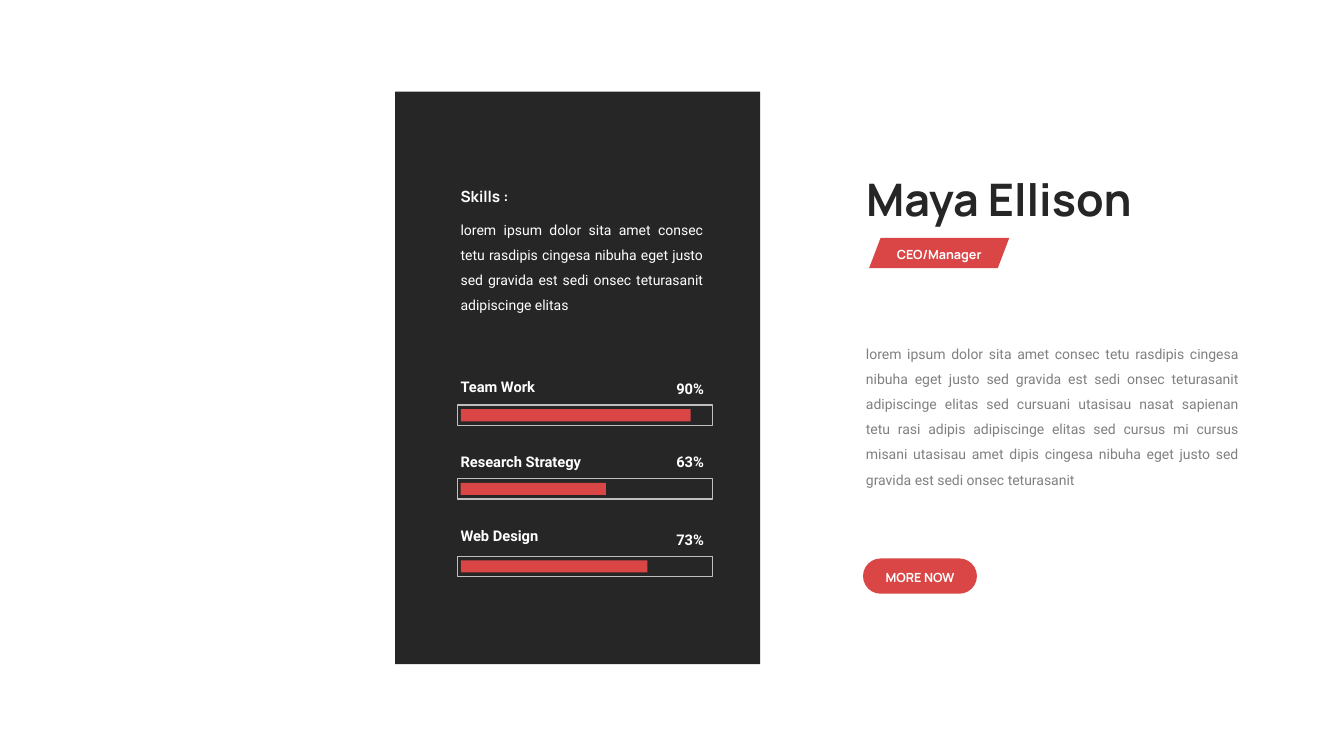
"""Build a profile slide with a skills panel, a biography and a button."""
from dataclasses import dataclass

from pptx import Presentation
from pptx.dml.color import RGBColor
from pptx.enum import shapes, text
from pptx.util import Inches, Pt


@dataclass(frozen=True)
class Theme:
    dark: str = "262626"
    accent: str = "DA4646"
    white: str = "FFFFFF"
    grey: str = "808080"
    outline: str = "BFBFBF"
    heading: str = "Manrope"
    body: str = "Roboto"
    name_size: float = 32
    skills_size: float = 11
    label_size: float = 10.5
    body_size: float = 10
    button_size: float = 9


theme = Theme()
kinds = shapes.MSO_SHAPE
align = text.PP_ALIGN


def add_panel(kind, box, fill=None, line=None):
    sp = s.shapes.add_shape(kind, *map(Inches, box))
    sp.shadow.inherit = False
    if fill:
        sp.fill.solid()
        sp.fill.fore_color.rgb = RGBColor.from_string(fill)
    else:
        sp.fill.background()
    if line:
        sp.line.color.rgb = RGBColor.from_string(line)
        sp.line.width = Pt(1)
    else:
        sp.line.fill.background()
    return sp


def write(sp, words, font, size, color, bold=True, alignment=align.LEFT, spacing=1.0, wrap=True):
    tf = sp.text_frame
    tf.word_wrap = wrap
    tf.auto_size = text.MSO_AUTO_SIZE.SHAPE_TO_FIT_TEXT
    tf.vertical_anchor = text.MSO_ANCHOR.TOP
    p = tf.paragraphs[0]
    p.alignment = alignment
    p.line_spacing = spacing
    r = p.add_run()
    r.text = words
    r.font.name = font
    r.font.size = Pt(size)
    r.font.bold = bold
    r.font.color.rgb = RGBColor.from_string(color)


prs = Presentation()
prs.slide_width, prs.slide_height = Inches(13.33), Inches(7.5)
s = prs.slides.add_slide(prs.slide_layouts[5])

title = s.shapes.title
title.left, title.top, title.width, title.height = map(Inches, (8.49, 1.65, 3.22, 0.64))
write(title, "Maya Ellison", theme.heading, theme.name_size, theme.dark)

add_panel(kinds.RECTANGLE, (3.92, 0.91, 3.62, 5.68), theme.dark)

skills = s.shapes.add_textbox(*map(Inches, (4.47, 1.72, 2.6, 0.38)))
write(skills, "Skills :", theme.heading, theme.skills_size, theme.white,
      alignment=align.JUSTIFY, spacing=1.5)

paragraphs = [
    ((4.47, 2.06, 2.6, 1.11), theme.white,
     "lorem ipsum dolor sita amet consec tetu rasdipis cingesa nibuha eget justo sed gravida "
     "est sedi onsec teturasanit adipiscinge elitas"),
    ((8.49, 3.29, 3.89, 1.62), theme.grey,
     "lorem ipsum dolor sita amet consec tetu rasdipis cingesa nibuha eget justo sed gravida "
     "est sedi onsec teturasanit adipiscinge elitas sed cursuani utasisau nasat sapienan tetu "
     "rasi adipis adipiscinge elitas sed cursus mi cursus misani utasisau amet dipis cingesa "
     "nibuha eget justo sed gravida est sedi onsec teturasanit"),
]
for box, color, words in paragraphs:
    sp = s.shapes.add_textbox(*map(Inches, box))
    write(sp, words, theme.body, theme.body_size, color, bold=False,
          alignment=align.JUSTIFY, spacing=1.5)

skill_rows = [
    ("Team Work", "90%", 3.7, 4.02, 2.28),
    ("Research Strategy", "63%", 4.44, 4.75, 1.44),
    ("Web Design", "73%", 5.18, 5.52, 1.85),
]
for skill, percent, label_top, bar_top, bar_width in skill_rows:
    label = s.shapes.add_textbox(*map(Inches, (4.47, label_top, 1.67, 0.28)))
    write(label, skill, theme.body, theme.label_size, theme.white)
    value = s.shapes.add_textbox(*map(Inches, (6.32, bar_top - 0.39, 0.76, 0.37)))
    write(value, percent, theme.body, theme.label_size, theme.white,
          alignment=align.RIGHT, spacing=1.5)
    add_panel(kinds.RECTANGLE, (4.57, bar_top + 0.04, bar_width, 0.12), theme.accent)
    add_panel(kinds.RECTANGLE, (4.54, bar_top, 2.53, 0.2), line=theme.outline)

badges = [
    (kinds.PARALLELOGRAM, 0.38, (8.62, 2.36, 1.39, 0.3), "CEO/Manager", (8.75, 2.4, 1.13, 0.25)),
    (kinds.ROUNDED_RECTANGLE, 0.5, (8.56, 5.54, 1.13, 0.35), "MORE NOW", (8.65, 5.6, 0.95, 0.25)),
]
for kind, adjustment, box, words, text_box in badges:
    badge = add_panel(kind, box, theme.accent)
    badge.adjustments[0] = adjustment
    caption = s.shapes.add_textbox(*map(Inches, text_box))
    write(caption, words, theme.heading, theme.button_size, theme.white,
          alignment=align.CENTER, wrap=False)

prs.save("out.pptx")
